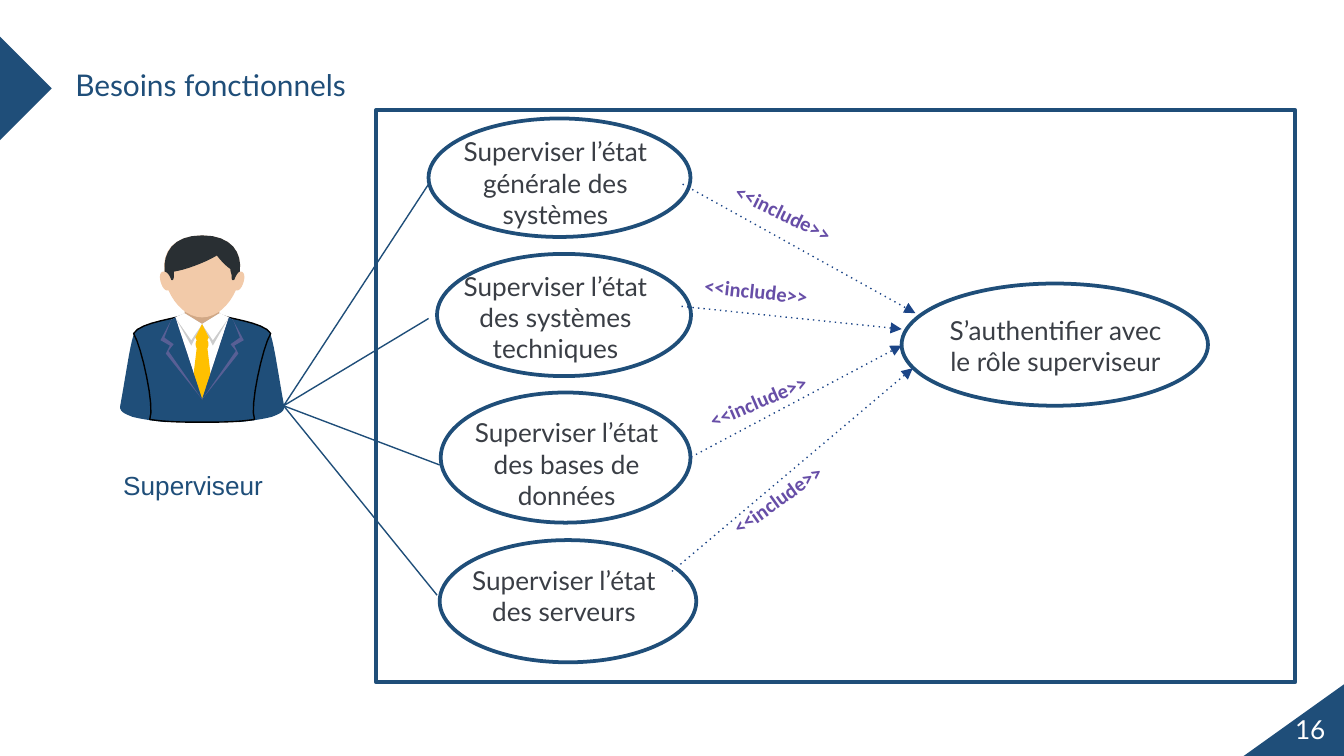
from dataclasses import dataclass
from lxml.etree import SubElement
from pptx import Presentation
from pptx.dml.color import RGBColor
from pptx.enum.shapes import MSO_CONNECTOR, MSO_SHAPE
from pptx.enum.text import MSO_ANCHOR, MSO_AUTO_SIZE, PP_ALIGN
from pptx.oxml.ns import qn
from pptx.util import Cm, Pt


@dataclass(frozen=True)
class Theme:
    navy: str = "1F4E79"
    ink: str = "3A3E45"
    arrow: str = "1C4587"
    purple: str = "674EA7"
    lapel: str = "585F95"
    white: str = "FFFFFF"
    black: str = "000000"
    skin: str = "F2CAA9"
    neck: str = "D1A886"
    hair: str = "292F33"
    collar: str = "CCCCCC"
    tie: str = "FFC000"
    font: str = "Lato"
    actor_font: str = "Arial"
    include_font: str = "Calibri"
    title_size: int = 16
    body_size: int = 14
    include_size: int = 11
    outline: float = 2
    thin: float = 0.75


THEME = Theme()

TITLE = ("Besoins fonctionnels", (1.17, 1.14, 7.67, 0.94))
ACTOR = ("Superviseur", (2.08, 8.74, 3.84, 0.86))
PAGE = ("16", (24.03, 13.36, 1.27, 1.3))
INCLUDE = "<<include>>"
FRAME = (7.11, 2.08, 17.37, 10.82)
CORNERS = [((-0.91, 0.89, 1.57, 1.55), 225), ((23.77, 12.62, 1.4, 1.96), 270)]
LABEL_WIDTH = 4.8
HAND = (5.36, 7.67)

USE_CASES = [
    ("Superviser l’état générale des systèmes", (8.1, 2.24, 4.95, 2.24), (8.1, 2.44, 2.06)),
    ("Superviser l’état des systèmes techniques", (8.26, 4.8, 4.8, 2.31), (8.1, 4.98, 2.06)),
    ("Superviser l’état des bases de données", (8.33, 7.42, 4.72, 2.46), (8.31, 7.75, 2.06)),
    ("Superviser l’état des serveurs", (8.31, 10.21, 4.85, 2.31), (8.26, 10.54, 1.45)),
    ("S’authentifier avec le rôle superviseur", (17.04, 5.36, 5.79, 2.31), (17.55, 5.82, 1.45)),
]
ASSOCIATION_ENDS = [(8.1, 3.48), (8.1, 6.02), (8.31, 8.79), (8.26, 11.25)]
INCLUDES = [
    ((12.9, 3.48), (17.3, 5.92), (13.54, 3.68), 26.1),
    ((12.88, 5.79), (17.04, 6.22), (13.06, 5.05), 6.1),
    ((13.06, 8.64), (17.04, 6.53), (13.08, 6.96), -23.4),
    ((12.7, 10.8), (17.25, 6.96), (13.41, 8.76), -35.4),
]

AVATAR_ORIGIN = (3.82, 4.45)
AVATAR_UNIT = Cm(2.54) / 100
NECK = (-13, 51, 26, 17)
# Each outline: symmetry, fill, border, then points (x, y) or curves (x1, y1, x2, y2, x, y).
BODY = [
    ("pair", THEME.navy, None, [
        (19, 74), (32, 72, 49, 66, 51, 74), (54, 83, 57, 106, 61, 127),
        (62, 132, 54, 134, 52, 135), (44, 137, 36, 138, 27, 139)]),
    ("half", THEME.navy, THEME.black, [
        (0, 61), (4, 61, 7, 60, 11, 58), (16, 62, 46, 64, 51, 73),
        (45, 83, 35, 128, 39, 137), (26, 139, 13, 139, 0, 139)]),
    ("half", THEME.white, None, [(0, 58), (13, 58), (23, 63), (21, 81), (0, 122)]),
]
HEAD_AND_COLLAR = [
    ("half", THEME.skin, None, [
        (0, 61), (11, 61, 20, 52, 25, 41), (26, 41), (28, 41, 30, 38, 31, 34),
        (32, 30, 31, 27, 29, 27), (28, 27), (30, 13, 22, 0, 0, 0)]),
    ("pair", THEME.collar, None, [(13, 58), (0, 66), (8, 82), (20, 61)]),
    ("whole", THEME.hair, None, [
        (0, 0), (-22, 0, -29, 13, -28, 27), (-26, 27, -24, 30, -23, 33),
        (-22, 34, -21, 33, -21, 30), (-21, 27), (-14, 26, 1, 21, 11, 15),
        (14, 19, 18, 23, 21, 25), (21, 27, 22, 29, 22, 30),
        (22, 33, 22, 34, 24, 33), (25, 30, 27, 27, 28, 27), (30, 13, 22, 0, 0, 0)]),
    ("pair", THEME.white, None, [(13, 58), (0, 66), (8, 78), (20, 61)]),
    ("half", THEME.tie, None, [
        (0, 66), (5, 76), (4, 78), (5, 80, 5, 82, 4, 84), (7, 109), (0, 122)]),
    ("pair", THEME.lapel, None, [(20, 61), (0, 122), (27, 88), (24, 82), (31, 78), (23, 63)]),
    ("pair", THEME.navy, None, [(20, 61), (0, 122), (25, 86), (21, 81), (28, 76), (23, 63)]),
]


def cm(values):
    return [Cm(value) for value in values]


def paint(shape, fill=None, border=None, width=THEME.thin):
    shape.shadow.inherit = False
    if fill:
        shape.fill.solid()
        shape.fill.fore_color.rgb = RGBColor.from_string(fill)
    else:
        shape.fill.background()
    if border:
        shape.line.color.rgb = RGBColor.from_string(border)
        shape.line.width = Pt(width)
    else:
        shape.line.fill.background()


def write(shape, text, color, size=THEME.body_size, font=THEME.font,
          align=PP_ALIGN.LEFT, bold=False):
    frame = shape.text_frame
    frame.word_wrap = True
    frame.auto_size = MSO_AUTO_SIZE.NONE
    frame.vertical_anchor = MSO_ANCHOR.TOP
    paragraph = frame.paragraphs[0]
    paragraph.alignment = align
    run = paragraph.add_run()
    run.text = text
    run.font.name = font
    run.font.size = Pt(size)
    run.font.bold = bold
    run.font.color.rgb = RGBColor.from_string(color)
    return frame


def connect(shapes, start, end, color, dotted_arrow=False):
    link = shapes.add_connector(MSO_CONNECTOR.STRAIGHT, *cm(start + end))
    link.line.color.rgb = RGBColor.from_string(color)
    link.line.width = Pt(THEME.thin)
    properties = link._element.spPr
    if dotted_arrow:
        line = properties.find(qn("a:ln"))
        SubElement(line, qn("a:prstDash")).set("val", "dot")
        SubElement(line, qn("a:tailEnd")).set("type", "triangle")
    SubElement(properties, qn("a:effectLst"))


def flatten(segments, steps=8):
    points = [segments[0]]
    for segment in segments[1:]:
        if len(segment) == 2:
            points.append(segment)
            continue
        controls = [points[-1], segment[:2], segment[2:4], segment[4:]]
        for step in range(1, steps + 1):
            t = step / steps
            weights = ((1 - t) ** 3, 3 * t * (1 - t) ** 2, 3 * t * t * (1 - t), t ** 3)
            points.append(tuple(
                sum(w * c[axis] for w, c in zip(weights, controls)) for axis in (0, 1)))
    return points


def draw_outlines(shapes, outlines):
    for symmetry, fill, border, segments in outlines:
        points = flatten(segments)
        mirrored = [(-x, y) for x, y in points]
        polygons = {"whole": [points], "pair": [points, mirrored],
                    "half": [points + mirrored[::-1]]}[symmetry]
        for polygon in polygons:
            first, *rest = [(x * AVATAR_UNIT, y * AVATAR_UNIT) for x, y in polygon]
            builder = shapes.build_freeform(*first)
            builder.add_line_segments(rest, close=True)
            paint(builder.convert_to_shape(*cm(AVATAR_ORIGIN)), fill, border)


def draw_avatar(shapes):
    parts = shapes.add_group_shape().shapes
    draw_outlines(parts, BODY)
    left, top, width, height = [round(value * AVATAR_UNIT) for value in NECK]
    origin_x, origin_y = cm(AVATAR_ORIGIN)
    neck = parts.add_shape(MSO_SHAPE.RECTANGLE, origin_x + left, origin_y + top, width, height)
    paint(neck, THEME.neck)
    draw_outlines(parts, HEAD_AND_COLLAR)


def main():
    deck = Presentation()
    deck.slide_width, deck.slide_height = Cm(25.4), Cm(14.29)
    slide = deck.slides.add_slide(deck.slide_layouts[5])
    shapes = slide.shapes

    for box, angle in CORNERS:
        corner = shapes.add_shape(MSO_SHAPE.RIGHT_TRIANGLE, *cm(box))
        corner.rotation = angle
        paint(corner, THEME.navy)

    text, box = TITLE
    title = shapes.title
    title.left, title.top, title.width, title.height = cm(box)
    write(title, text, THEME.navy, THEME.title_size)

    draw_avatar(shapes)
    text, box = ACTOR
    write(shapes.add_textbox(*cm(box)), text, THEME.navy, font=THEME.actor_font)

    for text, oval, (left, top, height) in USE_CASES:
        paint(shapes.add_shape(MSO_SHAPE.OVAL, *cm(oval)), None, THEME.navy, THEME.outline)
        label = shapes.add_textbox(*cm((left, top, LABEL_WIDTH, height)))
        write(label, text, THEME.ink, align=PP_ALIGN.CENTER)
    paint(shapes.add_shape(MSO_SHAPE.RECTANGLE, *cm(FRAME)), None, THEME.navy, THEME.outline)

    for end in ASSOCIATION_ENDS:
        connect(shapes, HAND, end, THEME.navy)
    for start, end, place, angle in INCLUDES:
        connect(shapes, start, end, THEME.arrow, dotted_arrow=True)
        label = shapes.add_textbox(*cm(place + (3.12, 0.99)))
        label.rotation = angle
        frame = write(label, INCLUDE, THEME.purple, THEME.include_size,
                      THEME.include_font, bold=True)
        frame.margin_top = frame.margin_bottom = Cm(0.25)

    text, box = PAGE
    write(shapes.add_textbox(*cm(box)), text, THEME.white, align=PP_ALIGN.RIGHT)
    deck.save("out.pptx")


if __name__ == "__main__":
    main()
